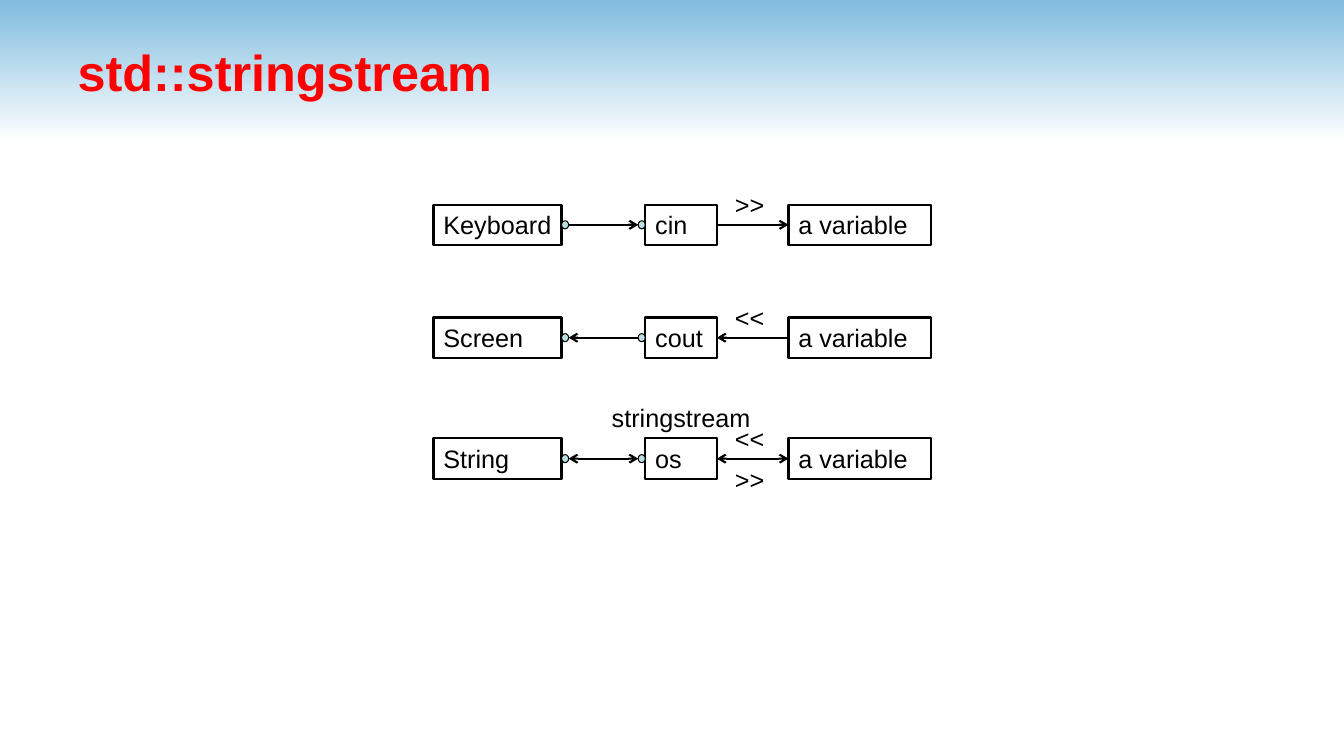
from pptx import Presentation, util as u
from pptx.dml.color import RGBColor
from pptx.enum import shapes, text
from pptx.oxml import parse_xml
from pptx.oxml.ns import nsdecls

BLACK = RGBColor(0, 0, 0)
WHITE = RGBColor(255, 255, 255)
RED = RGBColor(255, 0, 0)
SKY = RGBColor(0x80, 0xBC, 0xDE)
PORT = RGBColor(0xBB, 0xE0, 0xE3)
PX = 9144
ROW_HEIGHT = 40
SOURCE_X, STREAM_X, VARIABLE_X = 430, 640, 782
SOURCE_W, STREAM_W, VARIABLE_W = 127, 71, 141
PORT_W, PORT_H = 7, 8
LABEL_X, LABEL_W = 704, 79
LEFT, RIGHT = 1, 3


def px(*lengths):
    return [u.Emu(length * PX) for length in lengths]


def write(frame, words, size=18, color=BLACK, bold=False,
          align=text.PP_ALIGN.LEFT, anchor=text.MSO_ANCHOR.TOP):
    frame.word_wrap = True
    frame.vertical_anchor = anchor
    paragraph = frame.paragraphs[0]
    paragraph.alignment = align
    run = paragraph.add_run()
    run.text = words
    run.font.name = "Arial"
    run.font.size = u.Pt(size)
    run.font.bold = bold
    run.font.color.rgb = color


class Diagram:
    font_size = 18
    line_width = u.Pt(1.5)
    port_line = u.Pt(0.75)

    def __init__(self, slide):
        self.slide = slide

    def title(self, words):
        heading = self.slide.shapes.title
        heading.left, heading.top, heading.width, heading.height = px(67, 8, 1211, 125)
        write(heading.text_frame, words, size=36, color=RED, bold=True,
              anchor=text.MSO_ANCHOR.MIDDLE)

    def band(self, width, height):
        banner = self.slide.shapes.add_shape(
            shapes.MSO_SHAPE.RECTANGLE, *px(0, 0, width, height))
        banner.shadow.inherit = False
        banner.line.fill.background()
        banner.fill.gradient()
        banner.fill.gradient_angle = 270
        for stop, color in zip(banner.fill.gradient_stops, (SKY, WHITE)):
            stop.color.rgb = color
        self.slide.shapes.title._element.addprevious(banner._element)

    def box(self, words, left, top, width):
        node = self.slide.shapes.add_shape(
            shapes.MSO_SHAPE.RECTANGLE, *px(left, top, width, ROW_HEIGHT))
        node.shadow.inherit = False
        node.fill.background()
        node.line.color.rgb = BLACK
        node.line.width = self.line_width
        node.text_frame.margin_right = 0
        write(node.text_frame, words, size=self.font_size)
        return node

    def port(self, left, top):
        dot = self.slide.shapes.add_shape(
            shapes.MSO_SHAPE.FLOWCHART_CONNECTOR, *px(left, top, PORT_W, PORT_H))
        dot.shadow.inherit = False
        dot.fill.solid()
        dot.fill.fore_color.rgb = PORT
        dot.line.color.rgb = BLACK
        dot.line.width = self.port_line

    def label(self, words, left, top, width):
        caption = self.slide.shapes.add_textbox(*px(left, top, width, ROW_HEIGHT))
        write(caption.text_frame, words, size=self.font_size,
              align=text.PP_ALIGN.CENTER)

    def arrow(self, start_x, end_x, y, ends):
        link = self.slide.shapes.add_connector(
            shapes.MSO_CONNECTOR.STRAIGHT, *px(start_x, y, end_x, y))
        link.line.color.rgb = BLACK
        link.line.width = self.line_width
        outline = link.line._get_or_add_ln()
        for end in ends:
            outline.append(parse_xml(f'<a:{end} {nsdecls("a")} type="arrow"/>'))
        link._element.spPr.append(parse_xml(f'<a:effectLst {nsdecls("a")}/>'))
        return link

    def flow(self, top, source, stream, ends):
        middle = top + ROW_HEIGHT // 2
        port_left = SOURCE_X + SOURCE_W
        port_right = STREAM_X - PORT_W
        self.box(source, SOURCE_X, top, SOURCE_W)
        stream_box = self.box(stream, STREAM_X, top, STREAM_W)
        variable_box = self.box("a variable", VARIABLE_X, top, VARIABLE_W)
        for left in (port_left, port_right):
            self.port(left, middle - PORT_H // 2)
        self.arrow(port_left + PORT_W, port_right, middle, ends)
        transfer = self.arrow(STREAM_X + STREAM_W, VARIABLE_X, middle, ends)
        transfer.begin_connect(stream_box, RIGHT)
        transfer.end_connect(variable_box, LEFT)


def main():
    deck = Presentation()
    deck.slide_width, deck.slide_height = px(1333, 750)
    diagram = Diagram(deck.slides.add_slide(deck.slide_layouts[5]))
    diagram.band(1333, 142)
    diagram.title("std::stringstream")
    flows = [
        (203, "Keyboard", "cin", ["tailEnd"], [(">>", -20)]),
        (315, "Screen", "cout", ["headEnd"], [("<<", -20)]),
        (435, "String", "os", ["headEnd", "tailEnd"], [("<<", -20), (">>", 21)]),
    ]
    for top, source, stream, ends, operators in flows:
        diagram.flow(top, source, stream, ends)
        for operator, offset in operators:
            diagram.label(operator, LABEL_X, top + offset, LABEL_W)
    diagram.label("stringstream", 587, 394, 177)
    deck.save("out.pptx")


if __name__ == "__main__":
    main()
